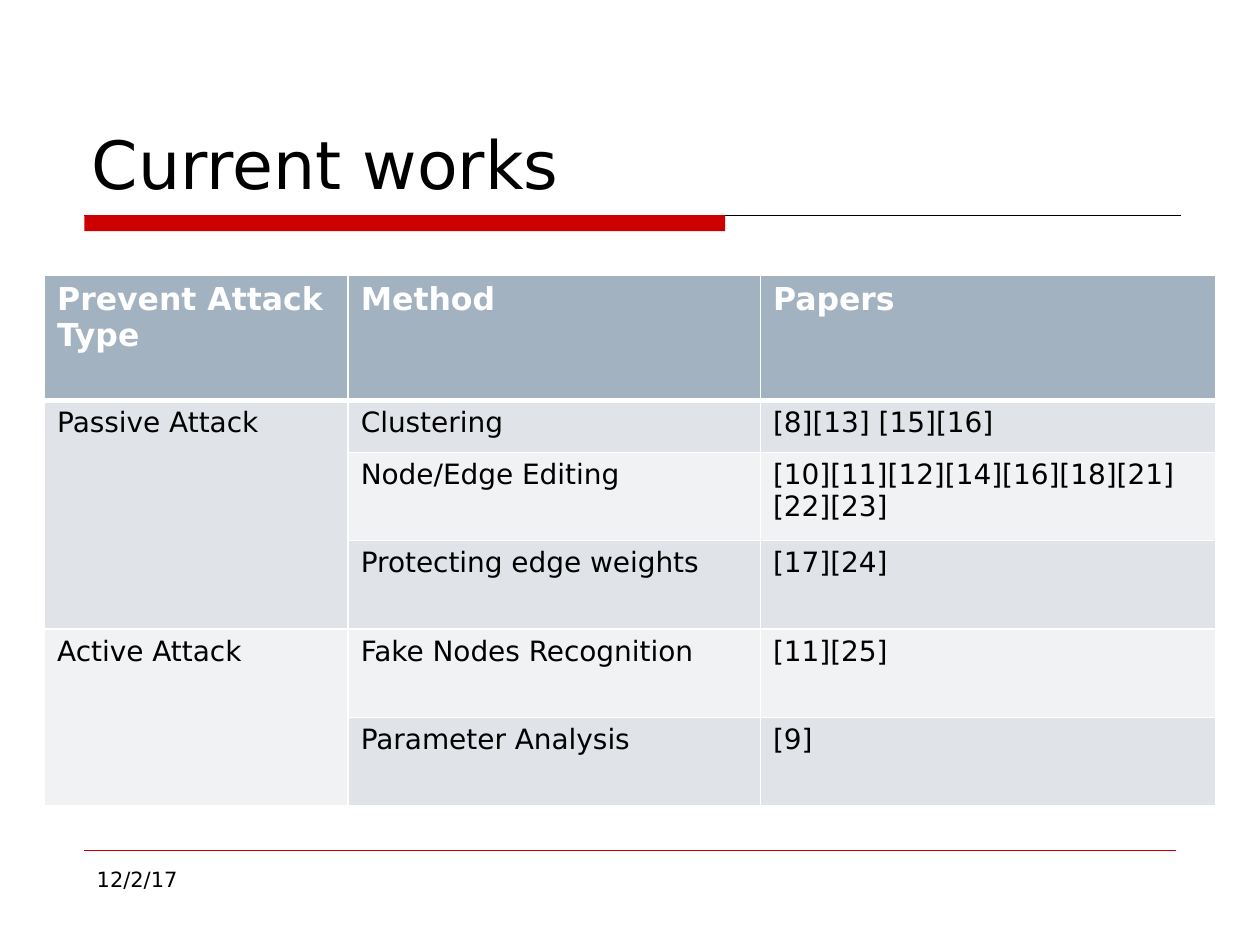
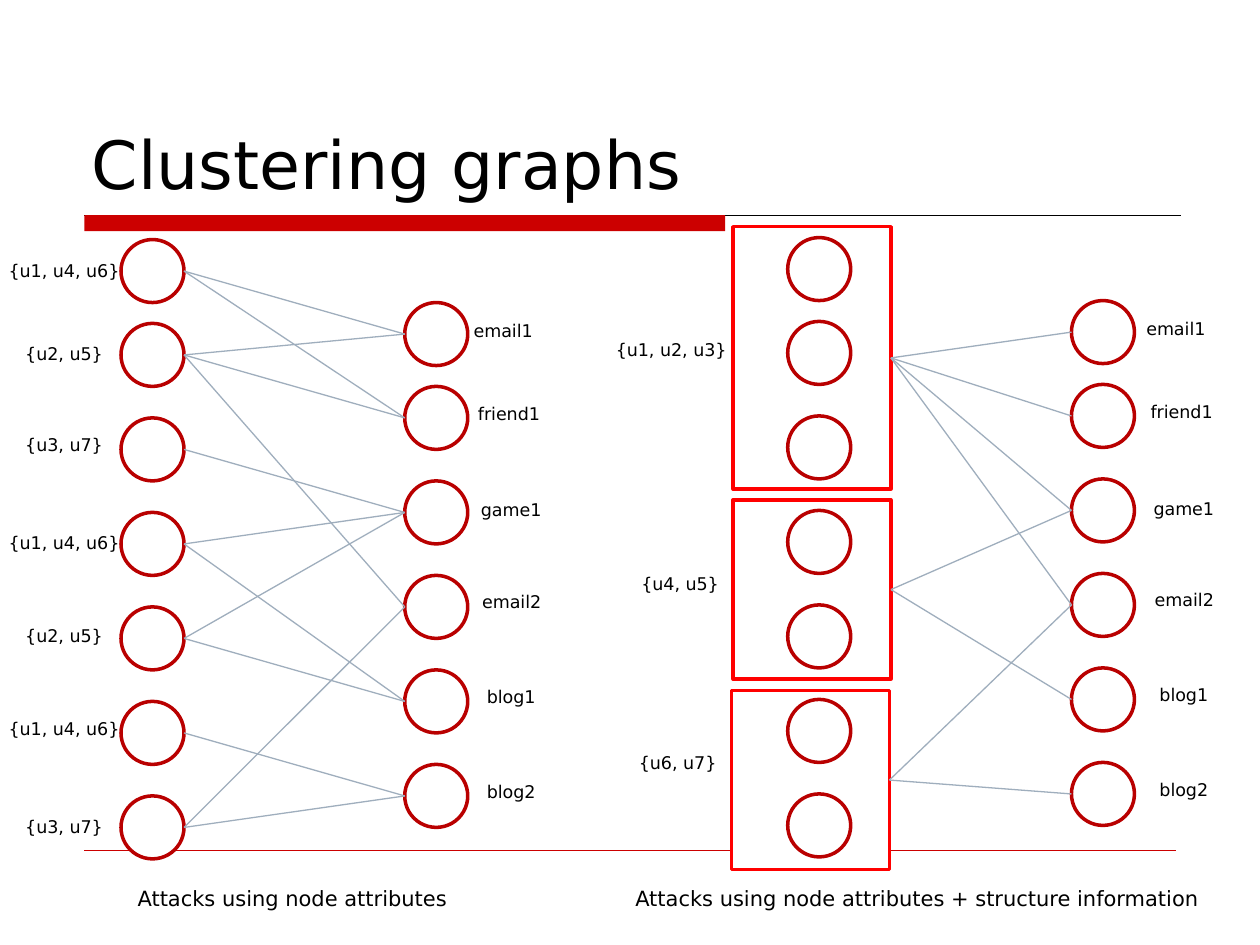
import pptx
import pptx.util
import pptx.dml.color
import pptx.enum.shapes
import pptx.enum.text
import pptx.oxml
import pptx.oxml.ns

Cm, Pt = pptx.util.Cm, pptx.util.Pt
RGB = pptx.dml.color.RGBColor.from_string
Kind = pptx.enum.shapes.MSO_SHAPE
Side = pptx.enum.text.PP_ALIGN
Stand = pptx.enum.text.MSO_ANCHOR

hues = {
    "white": "FFFFFF", "black": "000000", "band": "CC0000",
    "ring": "B90000", "frame": "FF0000", "edge": "9FAEBD",
    "head": "A3B2C1", "dark": "E0E4E9", "light": "F0F2F4",
}


def write(frame, words, size=10, hue="black", bold=False,
          side=Side.LEFT, stand=Stand.TOP):
    frame.word_wrap = True
    frame.vertical_anchor = stand
    para = frame.paragraphs[0]
    para.alignment = side
    run = para.add_run()
    run.text = words
    run.font.name = "DejaVu Sans"
    run.font.size = Pt(size)
    run.font.bold = bold
    run.font.color.rgb = RGB(hues[hue])


def link(slide, x1, y1, x2, y2, hue="edge", width=0.75):
    line = slide.shapes.add_connector(
        pptx.enum.shapes.MSO_CONNECTOR.STRAIGHT, Cm(x1), Cm(y1), Cm(x2), Cm(y2))
    line.line.color.rgb = RGB(hues[hue])
    line.line.width = Pt(width)
    line._element.spPr.append(pptx.oxml.parse_xml(
        f"<a:effectLst {pptx.oxml.ns.nsdecls('a')}/>"))
    return line


deck = pptx.Presentation()
deck.slide_width, deck.slide_height = Cm(25.4), Cm(19.05)

pages = []
for title in ["Current works", "Clustering graphs"]:
    page = deck.slides.add_slide(deck.slide_layouts[6])
    link(page, 1.7, 4.34, 23.8, 4.34, "black")
    band = page.shapes.add_shape(Kind.RECTANGLE, Cm(1.7), Cm(4.34), Cm(12.92), Cm(0.32))
    band.shadow.inherit = False
    band.fill.solid()
    band.fill.fore_color.rgb = RGB(hues["band"])
    band.line.fill.background()
    link(page, 1.7, 17.15, 23.7, 17.15, "band", 0.25)
    box = page.shapes.add_textbox(Cm(1.6), Cm(0.84), Cm(22.22), Cm(3.38))
    write(box.text_frame, title, size=38, stand=Stand.BOTTOM)
    pages.append(page)
works, graphs = pages

box = works.shapes.add_textbox(Cm(1.7), Cm(17.35), Cm(5.5), Cm(1.32))
write(box.text_frame, "12/2/17", size=12)

cells = [
    ["Prevent Attack Type", "Method", "Papers"],
    ["Passive Attack", "Clustering", "[8][13] [15][16]"],
    ["", "Node/Edge Editing", "[10][11][12][14][16][18][21][22][23]"],
    ["", "Protecting edge weights", "[17][24]"],
    ["Active Attack", "Fake Nodes Recognition", "[11][25]"],
    ["", "Parameter Analysis", "[9]"],
]
wides = [6.12, 8.31, 9.17]
highs = [2.54, 1.04] + [1.78] * 4
table = works.shapes.add_table(
    len(highs), len(wides), Cm(0.9), Cm(5.54), Cm(sum(wides)), Cm(sum(highs))).table
for col, wide in zip(table.columns, wides):
    col.width = Cm(wide)
for row, high in zip(table.rows, highs):
    row.height = Cm(high)
for r, row in enumerate(cells):
    for c, words in enumerate(row):
        cell = table.cell(r, c)
        props = cell._tc.get_or_add_tcPr()
        for edge in "LRTB":
            thick = 3 if (r, edge) in [(0, "B"), (1, "T")] else 1
            props.append(pptx.oxml.parse_xml(
                f'<a:ln{edge} {pptx.oxml.ns.nsdecls("a")} w="{Pt(thick)}"><a:solidFill>'
                f'<a:srgbClr val="{hues["white"]}"/></a:solidFill></a:ln{edge}>'))
        cell.fill.solid()
        tint = "head" if r == 0 else "dark" if r % 2 else "light"
        cell.fill.fore_color.rgb = RGB(hues[tint])
        if words and r == 0:
            write(cell.text_frame, words, size=18, hue="white", bold=True)
        elif words:
            write(cell.text_frame, words, size=16)
table.cell(1, 0).merge(table.cell(3, 0))
table.cell(4, 0).merge(table.cell(5, 0))

size = 1.27
steps = [0] + [1.69 + 1.905 * i for i in range(6)]
users = [
    ("{u1, u4, u6}", 0.28, [0, 1]),
    ("{u2, u5}", 0.28, [0, 1, 3]),
    ("{u3, u7}", 0.2, [2]),
    ("{u1, u4, u6}", 0.28, [2, 4]),
    ("{u2, u5}", 0.23, [2, 4]),
    ("{u1, u4, u6}", 0.2, [5]),
    ("{u3, u7}", 0.28, [3, 5]),
]
items = [
    ("email1", -1.19, 6.35, 0.22),
    ("friend1", -0.86, 5.92, 0.2),
    ("game1", -0.61, 5.51, 0.25),
    ("email2", -1.02, 6.35, 0.18),
    ("blog1", -0.61, 5.51, 0.2),
    ("blog2", -0.61, 5.51, 0.2),
]
groups = [
    ("{u1, u2, u3}", 14.78, 4.57, 5.29, 11.94, 6.71, [0, 1, 2, 3]),
    ("{u4, u5}", 14.78, 10.08, 3.61, 12.12, 11.43, [2, 4]),
    ("{u6, u7}", 14.75, 13.92, 3.61, 12.07, 15.04, [3, 5]),
]
labels = [
    ("Attacks using node attributes", 2.49, 17.73, 6.81, 12),
    ("Attacks using node attributes + structure information", 12.29, 17.73, 12.4, 12),
]
shapes = []
for words, x, y, high, left, top, ends in groups:
    shapes.append((Kind.RECTANGLE, x, y, 3.18, high, "frame"))
    labels.append((words, left, top, 3.18, 10))

for x, y, nudge in [(2.44, 4.83, 0), (15.88, 4.79, 0.12)]:
    far, low = x + 5.72, y + 1.27
    for step in steps:
        shapes.append((Kind.OVAL, x, y + step, size, size, "ring"))
    for (words, dx, wide, dy), step in zip(items, steps):
        shapes.append((Kind.OVAL, far, low + step, size, size, "ring"))
        labels.append((words, far + dx + nudge, low + step + dy, wide, 10))

drawn = []
for kind, x, y, wide, high, hue in shapes:
    shape = graphs.shapes.add_shape(kind, Cm(x), Cm(y), Cm(wide), Cm(high))
    shape.shadow.inherit = False
    shape.fill.solid()
    shape.fill.fore_color.rgb = RGB(hues["white"])
    shape.line.color.rgb = RGB(hues[hue])
    shape.line.width = Pt(2)
    drawn.append(shape)

for (words, dy, ends), step in zip(users, steps):
    labels.append((words, -0.3, 4.83 + step + dy, 3.18, 10))
    for end in ends:
        link(graphs, 2.44 + size, 4.83 + step + size / 2,
             8.16, 6.1 + steps[end] + size / 2)

for frame, (words, x, y, high, left, top, ends) in zip(drawn, groups):
    for end in ends:
        line = link(graphs, x + 3.18, y + high / 2, 21.6, 6.06 + steps[end] + size / 2)
        line.begin_connect(frame, 3)

for words, x, y, wide, points in labels:
    box = graphs.shapes.add_textbox(Cm(x), Cm(y), Cm(wide), Cm(0.7))
    write(box.text_frame, words, size=points, side=Side.CENTER)

deck.save("out.pptx")
